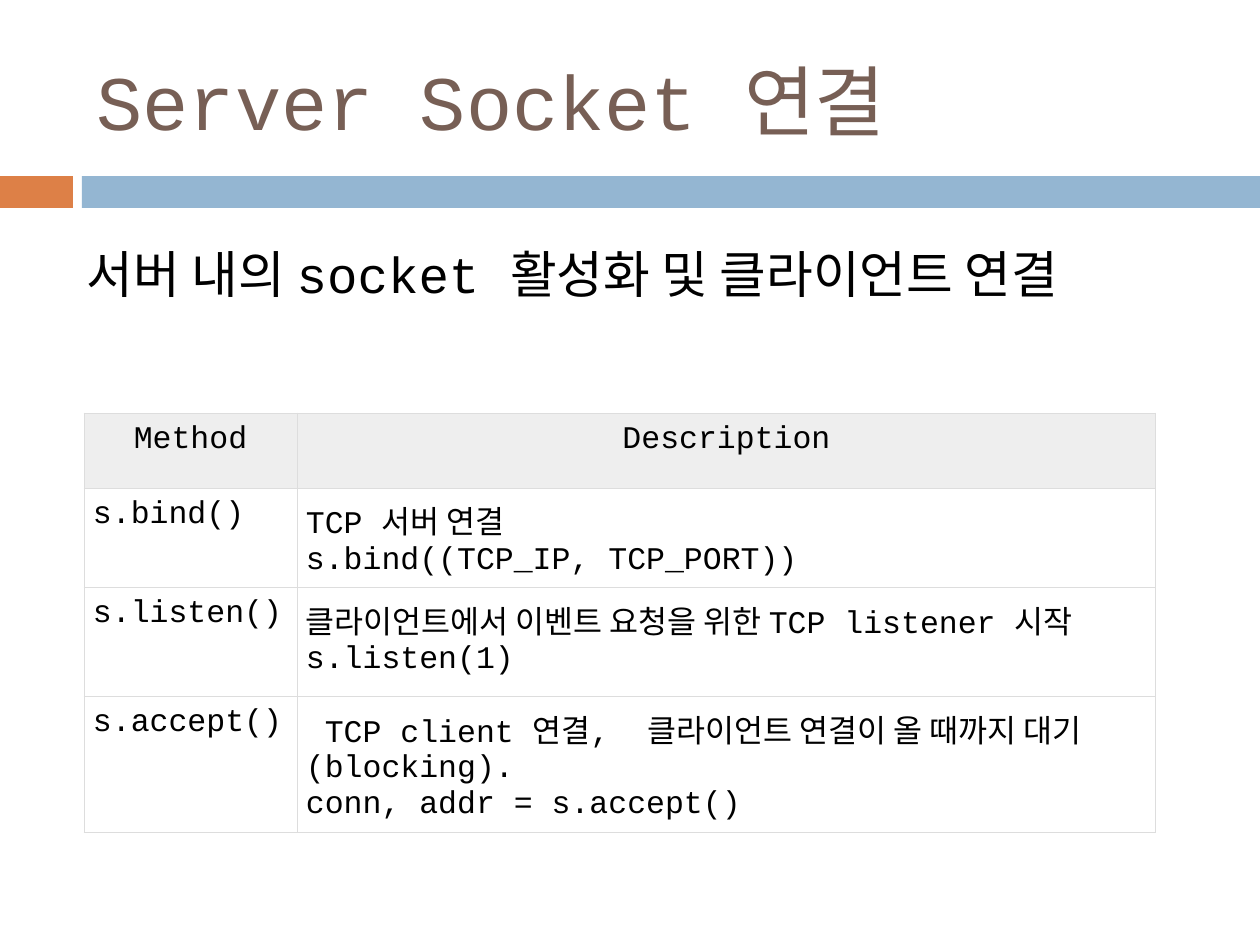
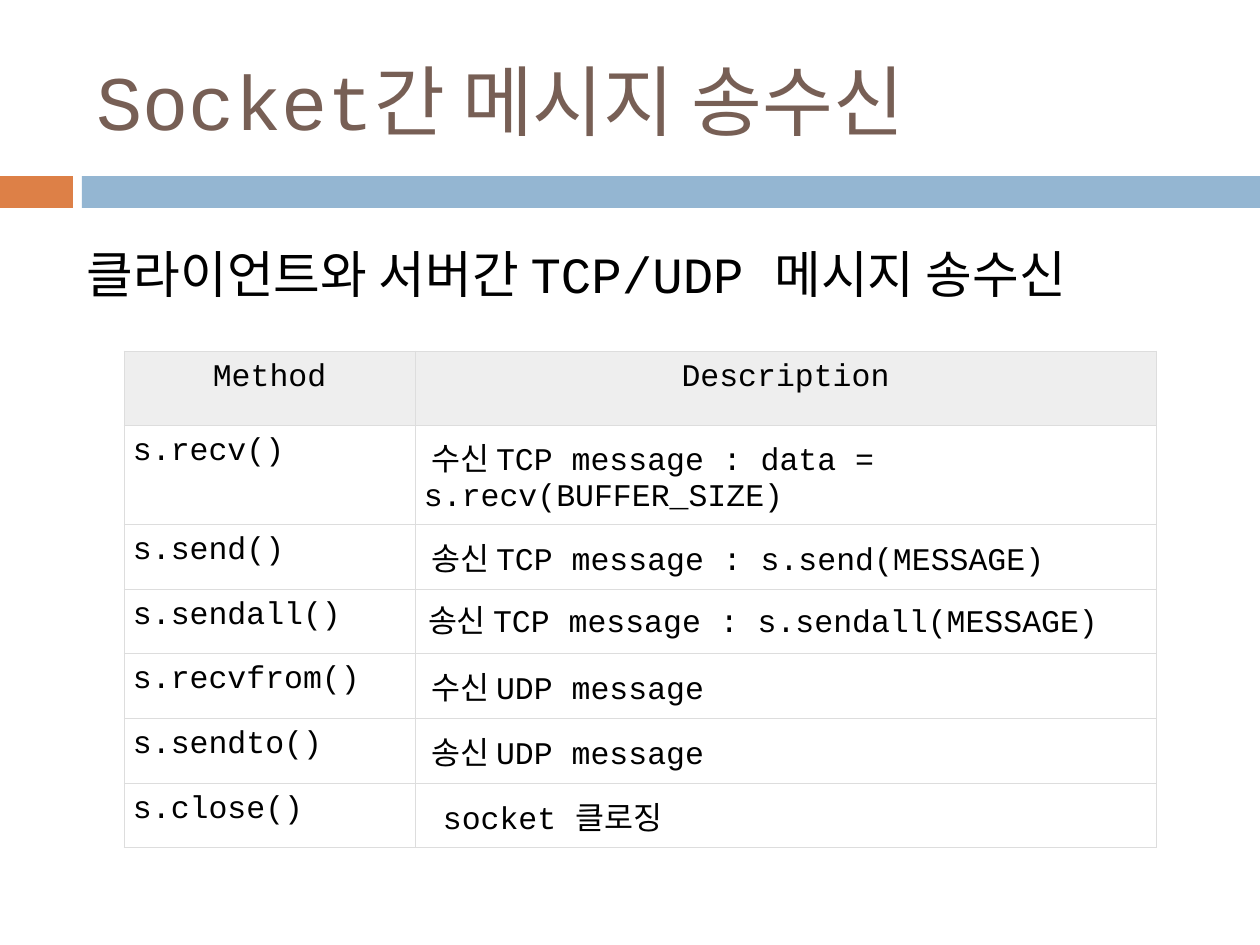
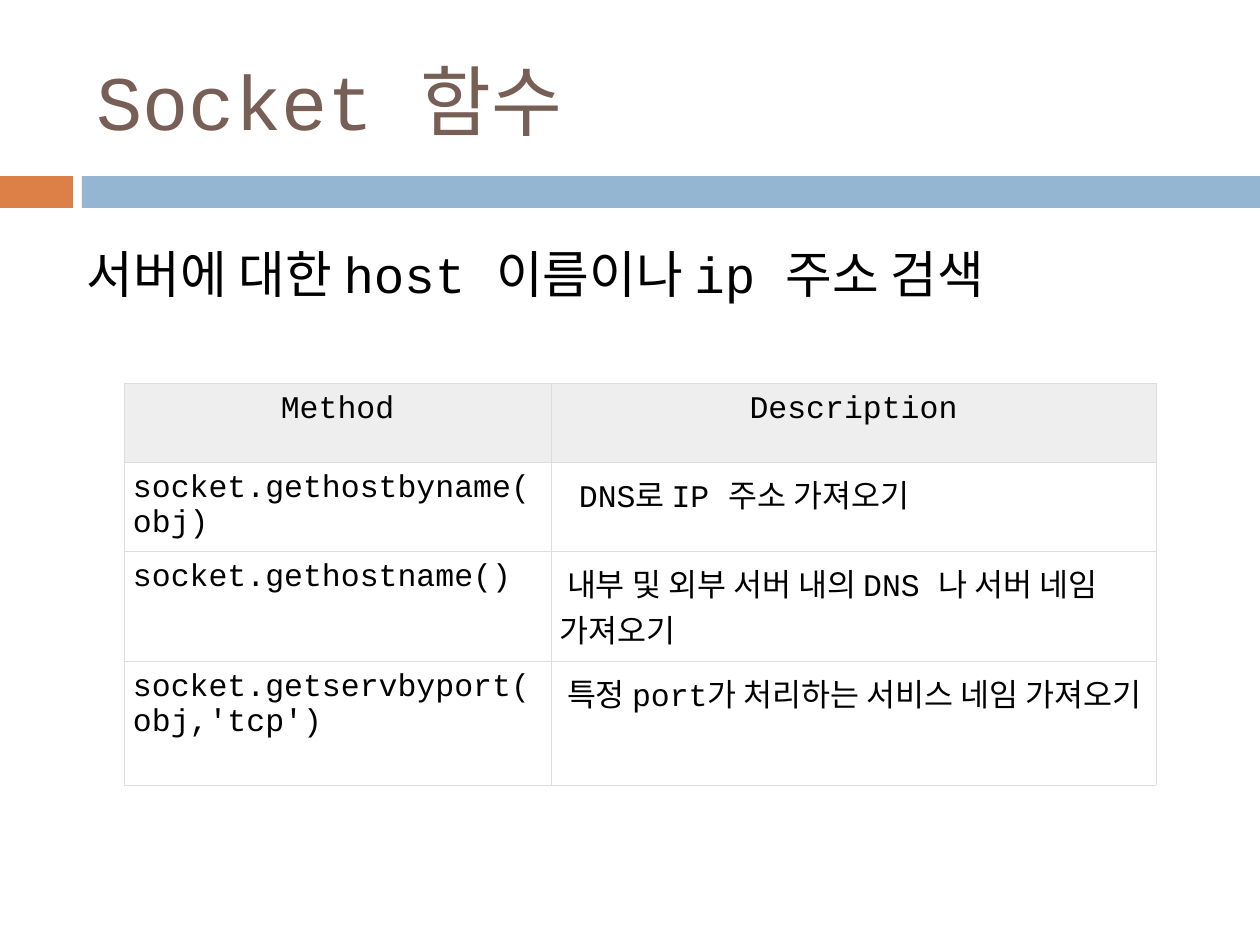
from lxml import etree
from pptx import Presentation
from pptx.dml.color import RGBColor
from pptx.enum.shapes import MSO_SHAPE
from pptx.enum.text import MSO_ANCHOR, MSO_AUTO_SIZE, PP_ALIGN
from pptx.oxml.ns import qn
from pptx.util import Emu, Pt

RECTANGLE = MSO_SHAPE.RECTANGLE
LEFT, CENTER = PP_ALIGN.LEFT, PP_ALIGN.CENTER
TOP, MIDDLE = MSO_ANCHOR.TOP, MSO_ANCHOR.MIDDLE
NO_AUTOFIT = MSO_AUTO_SIZE.NONE

# Shared look, lengths in pixels
FONT = "Courier New"
BROWN, BLACK = "775F55", "000000"
HEADER_FILL, BORDER = "EEEEEE", "DDDDDD"
TITLE_BOX = (84, 32, 1124, 136)
BODY_BOX = (63, 224, 1134, 179)
BANDS = [((0, 176, 73, 32), "DD8047"), ((82, 176, 1178, 32), "94B6D2")]
HEADER = ("Method", "Description")
CELL_INSETS = (9, 9)      # sides, top and bottom
LOOSE_INSETS = (13, 6)

# Content: a line break in a cell starts a new paragraph
SLIDES = [
    {
        "title": "Server Socket 연결",
        "body": " 서버 내의 socket 활성화 및 클라이언트 연결",
        "origin": (84, 413),
        "columns": (213, 859),
        "row_heights": (75, 99, 109, 134),
        "rows": [
            ("s.bind()", "TCP 서버 연결\ns.bind((TCP_IP, TCP_PORT))"),
            ("s.listen()", "클라이언트에서 이벤트 요청을 위한 TCP listener 시작\ns.listen(1)"),
            ("s.accept()", " TCP client 연결,  클라이언트 연결이 올 때까지 대기(blocking).\n"
                           "conn, addr = s.accept()"),
        ],
    },
    {
        "title": "Socket간 메시지 송수신",
        "body": " 클라이언트와 서버간 TCP/UDP 메시지 송수신",
        "origin": (124, 351),
        "columns": (291, 741),
        "row_heights": (74, 99, 65, 64, 65, 65, 63),
        "loose_cells": [(3, 1)],
        "rows": [
            ("s.recv()", " 수신 TCP message : data = s.recv(BUFFER_SIZE)"),
            ("s.send()", " 송신 TCP message : s.send(MESSAGE)"),
            ("s.sendall()", "송신 TCP message : s.sendall(MESSAGE)"),
            ("s.recvfrom()", " 수신 UDP message"),
            ("s.sendto()", " 송신 UDP message"),
            ("s.close()", " socket 클로징"),
        ],
    },
    {
        "title": "Socket 함수",
        "body": " 서버에 대한 host 이름이나 ip 주소 검색",
        "origin": (124, 383),
        "columns": (427, 605),
        "row_heights": (79, 88, 109, 124),
        "rows": [
            ("socket.gethostbyname(obj)", " DNS로 IP 주소 가져오기"),
            ("socket.gethostname()", " 내부 및 외부 서버 내의 DNS 나 서버 네임 가져오기"),
            ("socket.getservbyport(obj,'tcp')", " 특정 port가 처리하는 서비스 네임 가져오기"),
        ],
    },
]


def px(pixels):
    return Emu(round(pixels * 914400 / 126))


def color(value):
    return RGBColor.from_string(value)


def style(paragraph, size, font_color, alignment=LEFT):
    paragraph.alignment = alignment
    paragraph.font.name = FONT
    paragraph.font.size = Pt(size)
    paragraph.font.color.rgb = color(font_color)


def fill_placeholder(shape, box, text, size, font_color, anchor):
    shape.left, shape.top, shape.width, shape.height = map(px, box)
    frame = shape.text_frame
    frame.text = text
    frame.word_wrap = True
    frame.auto_size = NO_AUTOFIT
    frame.vertical_anchor = anchor
    paragraph = frame.paragraphs[0]
    style(paragraph, size, font_color)
    return paragraph


def remove_bullet(paragraph):
    properties = paragraph._p.get_or_add_pPr()
    properties.set("marL", "0")
    properties.set("indent", "0")
    bullet = etree.Element(qn("a:buNone"))
    properties.append(bullet)


def add_borders(cell):
    properties = cell._tc.get_or_add_tcPr()
    for index, side in enumerate(("lnL", "lnR", "lnT", "lnB")):
        line = etree.Element(qn("a:" + side), w=str(Pt(0.6)))
        solid = etree.SubElement(line, qn("a:solidFill"))
        etree.SubElement(solid, qn("a:srgbClr"), val=BORDER)
        properties.insert(index, line)


def fill_cell(cell, text, is_header, insets):
    cell.text = text
    side, vertical = map(px, insets)
    cell.margin_left = cell.margin_right = side
    cell.margin_top = cell.margin_bottom = vertical
    if is_header:
        cell.fill.solid()
        cell.fill.fore_color.rgb = color(HEADER_FILL)
    else:
        cell.fill.background()
    for paragraph in cell.text_frame.paragraphs:
        style(paragraph, 18, BLACK, CENTER if is_header else LEFT)
    add_borders(cell)


def add_method_table(slide, content):
    rows = [HEADER] + content["rows"]
    columns, heights = content["columns"], content["row_heights"]
    left, top = content["origin"]
    table = slide.shapes.add_table(
        len(rows), len(columns), px(left), px(top), px(sum(columns)), px(sum(heights))).table
    table.first_row = table.horz_banding = False
    for column, width in zip(table.columns, columns):
        column.width = px(width)
    for row, height in zip(table.rows, heights):
        row.height = px(height)
    loose_cells = content.get("loose_cells", [])
    for r, texts in enumerate(rows):
        for c, text in enumerate(texts):
            insets = LOOSE_INSETS if (r, c) in loose_cells else CELL_INSETS
            fill_cell(table.cell(r, c), text, r == 0, insets)


def add_bands_to_layout(slide, layout):
    # Layouts offer no add_shape, so the bands are made on a slide and moved
    for index, (box, fill) in enumerate(BANDS):
        band = slide.shapes.add_shape(RECTANGLE, *map(px, box))
        band.shadow.inherit = False
        band.fill.solid()
        band.fill.fore_color.rgb = color(fill)
        band.line.fill.background()
        layout.shapes._spTree.insert(2 + index, band._element)


presentation = Presentation()
presentation.slide_width, presentation.slide_height = px(1260), px(945)
layout = presentation.slide_layouts[1]

for number, content in enumerate(SLIDES):
    slide = presentation.slides.add_slide(layout)
    if number == 0:
        add_bands_to_layout(slide, layout)

    # Title and lead sentence
    fill_placeholder(slide.shapes.title, TITLE_BOX, content["title"], 44, BROWN, MIDDLE)
    lead = fill_placeholder(slide.placeholders[1], BODY_BOX, content["body"], 29, BLACK, TOP)
    lead.line_spacing = 1.2
    lead.space_before = Pt(7)
    remove_bullet(lead)

    # Methods and their descriptions
    add_method_table(slide, content)

presentation.save("out.pptx")
